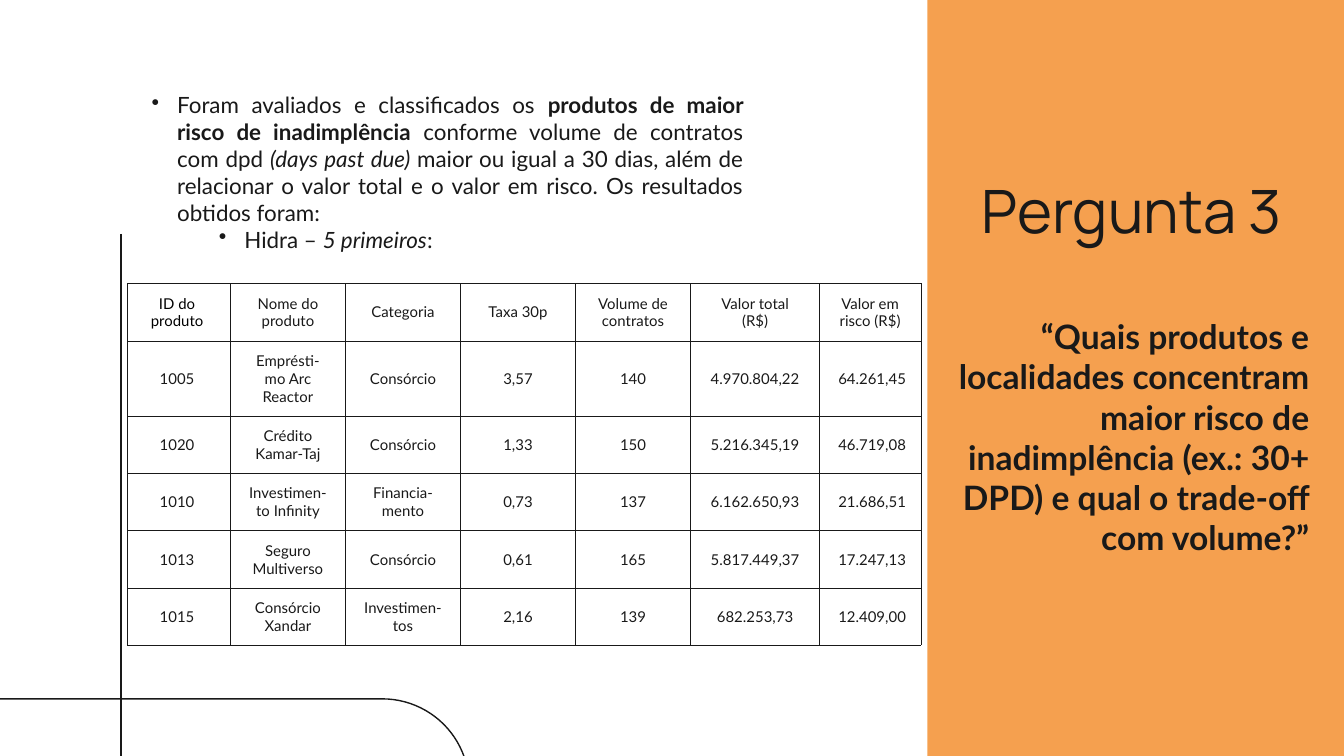
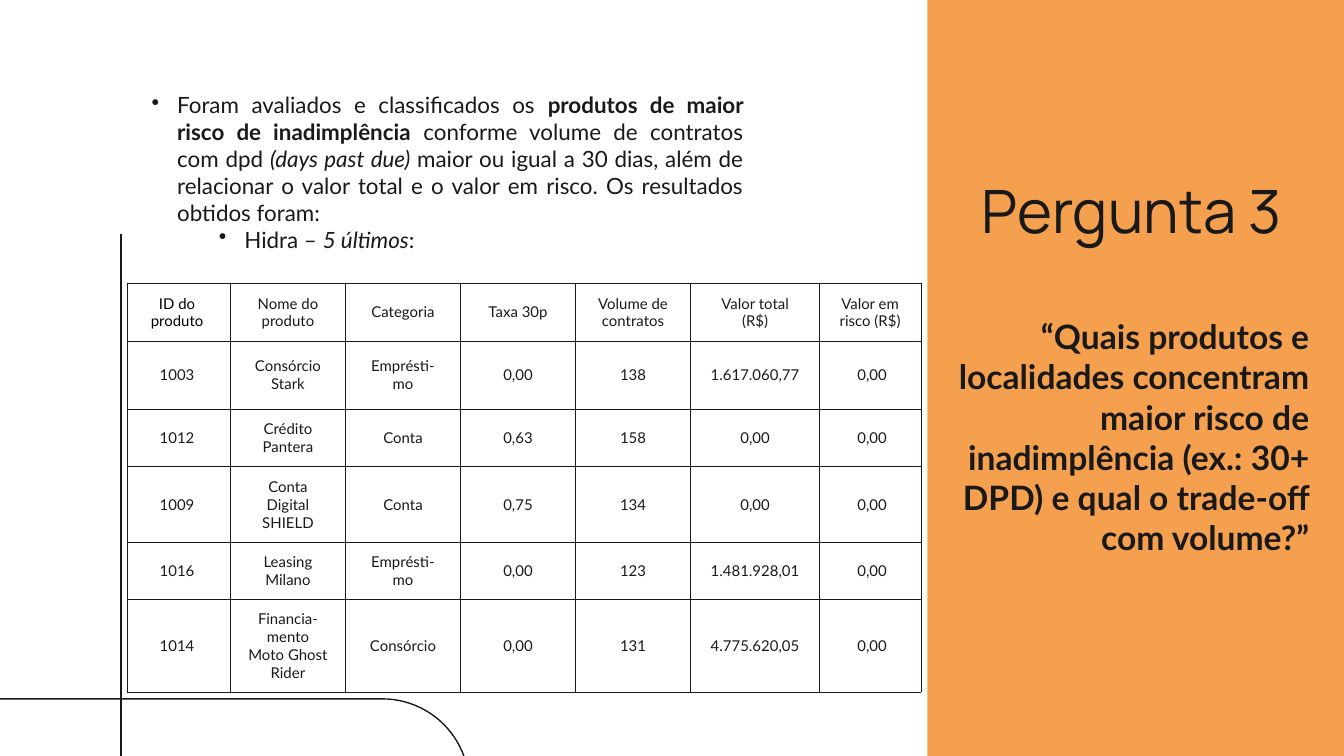
from dataclasses import dataclass

from lxml.etree import SubElement as add_element
from pptx import Presentation
from pptx.dml.color import RGBColor as Color
from pptx.enum.shapes import MSO_CONNECTOR as Connector, MSO_SHAPE as Preset
from pptx.enum.text import MSO_ANCHOR as Anchor, PP_ALIGN as Align
from pptx.oxml import parse_xml
from pptx.oxml.ns import nsdecls, qn
from pptx.util import Inches, Pt

GRID_COLUMNS = 100
SLIDE_WIDTH = Inches(10)
SLIDE_HEIGHT = SLIDE_WIDTH * 9 // 16
UNIT = SLIDE_WIDTH // GRID_COLUMNS  # grid columns and rows are the same size


@dataclass(frozen=True)
class Theme:
    paper: str = "FFFFFF"
    ink: str = "191919"
    black: str = "000000"
    band: str = "F5A04F"
    title_font: str = "Manrope"
    text_font: str = "Lato"
    title_size: float = 32
    question_size: float = 18
    body_size: float = 12
    table_size: float = 8
    line_width: float = 0.75
    border_width: float = 0.25


def grid(*lengths):
    return [round(length * UNIT) for length in lengths]


class SlideBuilder:
    def __init__(self, deck, theme):
        self.deck = deck
        self.theme = theme
        self.slide = None

    def new_slide(self):
        self.slide = self.deck.slides.add_slide(self.deck.slide_layouts[6])
        fill = self.slide.background.fill
        fill.solid()
        fill.fore_color.rgb = Color.from_string(self.theme.paper)

    def shape(self, preset, place, fill=None, outline=None):
        shape = self.slide.shapes.add_shape(preset, *grid(*place))
        shape.shadow.inherit = False
        if fill:
            shape.fill.solid()
            shape.fill.fore_color.rgb = Color.from_string(fill)
        else:
            shape.fill.background()
        if outline:
            self.draw_line(shape.line, outline)
        else:
            shape.line.fill.background()
        return shape

    def draw_line(self, line, color):
        line.color.rgb = Color.from_string(color)
        line.width = Pt(self.theme.line_width)

    def line(self, start, end):
        connector = self.slide.shapes.add_connector(
            Connector.STRAIGHT, *grid(*start, *end))
        self.draw_line(connector.line, self.theme.ink)
        add_element(connector._element.spPr, qn("a:effectLst"))

    def style(self, span, size, font=None, color=None, bold=False, italic=False):
        span.font.name = font or self.theme.text_font
        span.font.size = Pt(size)
        span.font.color.rgb = Color.from_string(color or self.theme.ink)
        span.font.bold = bold
        span.font.italic = italic

    def text_frame(self, place):
        frame = self.slide.shapes.add_textbox(*grid(*place)).text_frame
        frame.word_wrap = True
        frame.margin_left = frame.margin_right = Inches(0.1)
        frame.margin_top = frame.margin_bottom = Inches(0.1)
        return frame

    def text(self, place, words, align, size, **look):
        frame = self.text_frame(place)
        frame.text = words
        para = frame.paragraphs[0]
        para.alignment = align
        self.style(para.runs[0], size, **look)

    def bullets(self, place, items):
        """Each item is a list of (words, look) pairs; its index is its level."""
        frame = self.text_frame(place)
        for level, item in enumerate(items):
            para = frame.add_paragraph() if level else frame.paragraphs[0]
            para.level = level
            para.alignment = Align.JUSTIFY
            self.add_bullet(para, indent=0.19 + 0.5 * level)
            for words, look in item:
                span = para.add_run()
                span.text = words
                self.style(span, self.theme.body_size, **look)

    def add_bullet(self, para, indent):
        properties = para._p.get_or_add_pPr()
        properties.set("marL", str(Inches(indent)))
        properties.set("indent", str(Inches(-0.19)))
        color = add_element(properties, qn("a:buClr"))
        add_element(color, qn("a:srgbClr"), val=self.theme.ink)
        add_element(properties, qn("a:buChar"), char="•")

    def table(self, corner, widths, heights, rows):
        place = grid(*corner, sum(widths), sum(heights))
        table = self.slide.shapes.add_table(len(rows), len(widths), *place).table
        table.first_row = table.horz_banding = False
        for column, width in zip(table.columns, grid(*widths)):
            column.width = width
        for row, height in zip(table.rows, grid(*heights)):
            row.height = height
        last = len(widths) - 1
        for row_index, values in enumerate(rows):
            side = 0.13 if row_index else 0.12
            for index, value in enumerate(values):
                cell = table.cell(row_index, index)
                cell.margin_left = Inches(side if index else side - 0.03)
                cell.margin_right = Inches(0.1 if row_index and index == last else side)
                corner_cell = row_index == index == 0
                self.fill_cell(cell, value, self.theme.black if corner_cell else None)

    def fill_cell(self, cell, value, color):
        cell.margin_top = cell.margin_bottom = Inches(0.08)
        cell.vertical_anchor = Anchor.MIDDLE
        cell.fill.background()
        self.border(cell)
        cell.text_frame.text = value
        para = cell.text_frame.paragraphs[0]
        para.alignment = Align.CENTER
        self.style(para.runs[0], self.theme.table_size, color=color)

    def border(self, cell):
        properties = cell._tc.get_or_add_tcPr()
        for position, side in enumerate("LRTB"):
            properties.insert(position, parse_xml(
                f'<a:ln{side} {nsdecls("a")} w="{Pt(self.theme.border_width)}">'
                f'<a:solidFill><a:srgbClr val="{self.theme.ink}"/></a:solidFill>'
                f'</a:ln{side}>'))


QUESTION = ("“Quais produtos e localidades concentram maior risco de inadimplência "
            "(ex.: 30+ DPD) e qual o trade-off com volume?”")
INTRODUCTION = [
    ("Foram avaliados e classificados os ", {}),
    ("produtos de maior risco de inadimplência", {"bold": True}),
    (" conforme volume de contratos com dpd ", {}),
    ("(days past due) ", {"italic": True}),
    ("maior ou igual a 30 dias, além de relacionar o valor total e o valor em risco. "
     "Os resultados obtidos foram:", {}),
]
HEADER = ("ID do produto", "Nome do produto", "Categoria", "Taxa 30p",
          "Volume de contratos", "Valor total (R$)", "Valor em risco (R$)")
COLUMN_WIDTHS = (7.65, 8.56, 8.56, 8.56, 8.56, 9.6, 7.52)
ROW_HEIGHTS = (3.8, 5.1, 3.8, 3.8, 3.8, 3.8)
RANKINGS = {
    "5 primeiros": [
        ("1005", "Emprésti-mo Arc Reactor", "Consórcio", "3,57", "140",
         "4.970.804,22", "64.261,45"),
        ("1020", "Crédito Kamar-Taj", "Consórcio", "1,33", "150",
         "5.216.345,19", "46.719,08"),
        ("1010", "Investimen-to Infinity", "Financia-mento", "0,73", "137",
         "6.162.650,93", "21.686,51"),
        ("1013", "Seguro Multiverso", "Consórcio", "0,61", "165",
         "5.817.449,37", "17.247,13"),
        ("1015", "Consórcio Xandar", "Investimen-tos", "2,16", "139",
         "682.253,73", "12.409,00"),
    ],
    "5 últimos": [
        ("1003", "Consórcio Stark", "Emprésti-mo", "0,00", "138",
         "1.617.060,77", "0,00"),
        ("1012", "Crédito Pantera", "Conta", "0,63", "158", "0,00", "0,00"),
        ("1009", "Conta Digital SHIELD", "Conta", "0,75", "134", "0,00", "0,00"),
        ("1016", "Leasing Milano", "Emprésti-mo", "0,00", "123",
         "1.481.928,01", "0,00"),
        ("1014", "Financia-mento Moto Ghost Rider", "Consórcio", "0,00", "131",
         "4.775.620,05", "0,00"),
    ],
}


def add_ranking_slide(builder, ranking, products):
    theme = builder.theme
    builder.new_slide()
    builder.shape(Preset.RECTANGLE, (69, -0.1, 31, 56.5), fill=theme.band)
    pill = builder.shape(Preset.ROUNDED_RECTANGLE, (-10.6, 52, 45.5, 12.9),
                         outline=theme.ink)
    pill.adjustments[0] = 0.5
    builder.line((9, 17.4), (9, 56.3))
    builder.text((69.9, 22.5, 28.5, 16.6), QUESTION, Align.RIGHT,
                 theme.question_size, bold=True)
    builder.text((66.7, 11.9, 35, 7.4), "Pergunta 3", Align.CENTER,
                 theme.title_size, font=theme.title_font)
    subject = [("Hidra – ", {}), (ranking, {"italic": True}), (":", {})]
    builder.bullets((10.3, 5.8, 46, 19.6), [INTRODUCTION, subject])
    builder.table((9.5, 21.1), COLUMN_WIDTHS, ROW_HEIGHTS, [HEADER, *products])


def main():
    deck = Presentation()
    deck.slide_width = SLIDE_WIDTH
    deck.slide_height = SLIDE_HEIGHT
    builder = SlideBuilder(deck, Theme())
    for ranking, products in RANKINGS.items():
        add_ranking_slide(builder, ranking, products)
    deck.save("out.pptx")


if __name__ == "__main__":
    main()
